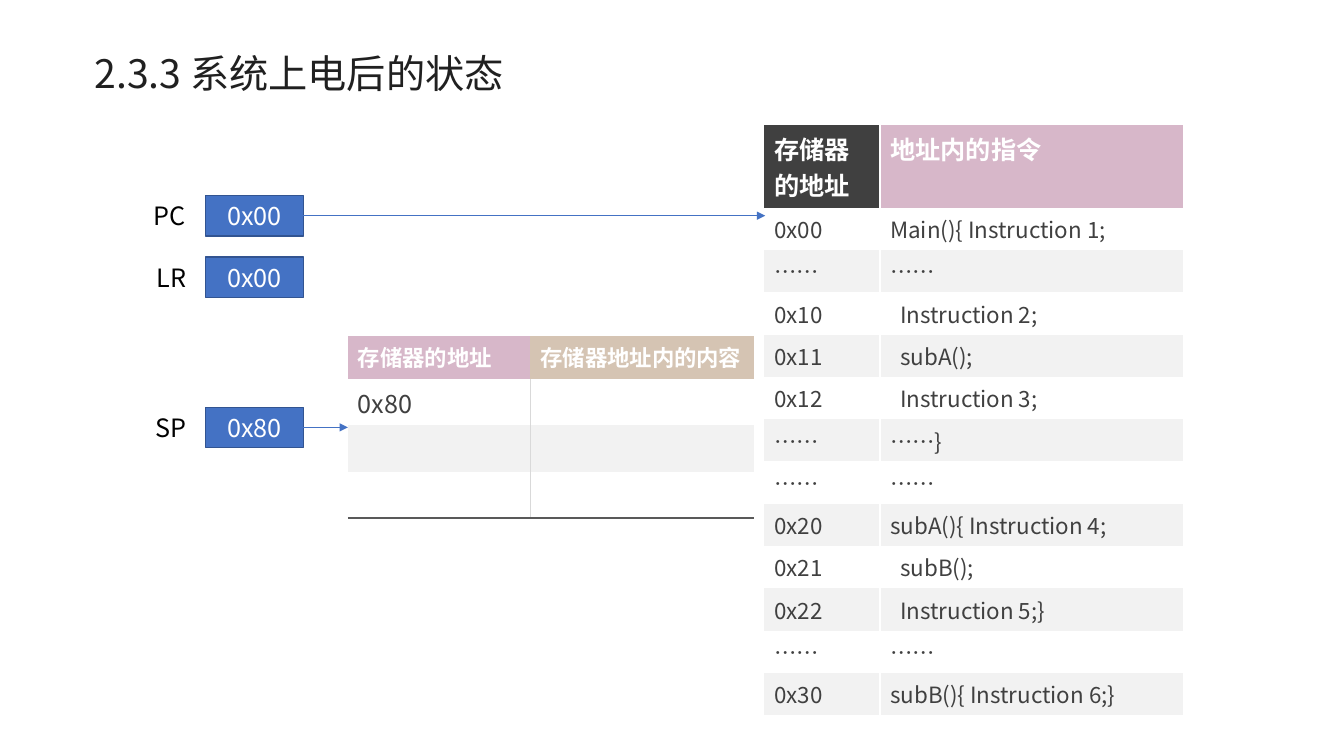
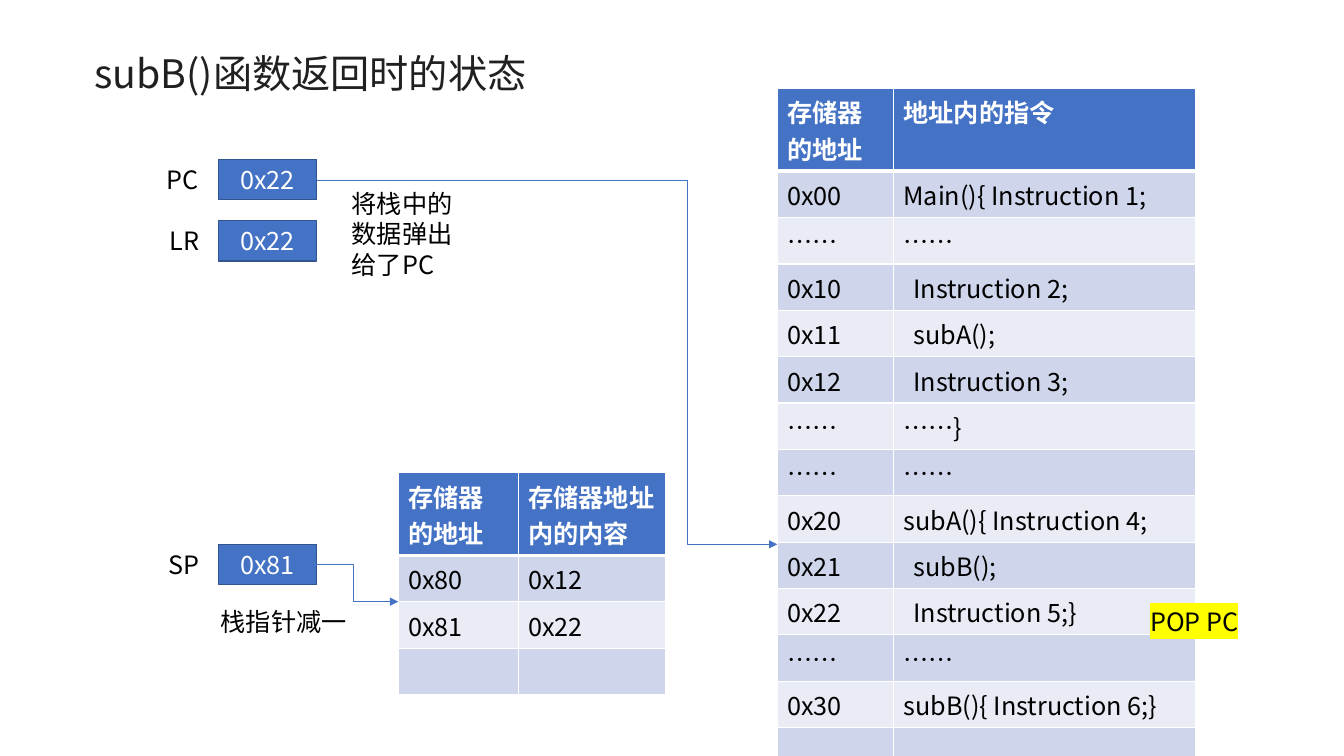
import lxml.etree
import pptx
import pptx.dml.color
import pptx.enum.shapes
import pptx.enum.text
import pptx.oxml.ns
import pptx.util

PX = 9144  # EMU per px, 100 px to the inch
FONT = "Noto Sans CJK SC"
COLORS = {
    "title": "202020", "black": "000000", "white": "FFFFFF", "blue": "4472C4",
    "outline": "325491", "dark": "404040", "pink": "D7B7C9", "sand": "D5C4B3",
    "gray": "F2F2F2", "rule": "D9D9D9", "base": "595959",
    "band": "CFD5EA", "pale": "E9EBF5", "yellow": "FFFF00",
}
ALIGN = pptx.enum.text.PP_ALIGN
ANCHOR = pptx.enum.text.MSO_ANCHOR
LINK = pptx.enum.shapes.MSO_CONNECTOR
RGB = pptx.dml.color.RGBColor.from_string
qn = pptx.oxml.ns.qn
SubElement = lxml.etree.SubElement
NO_STYLE = "{2D5ABB26-0587-4C30-8999-92F81FD0307C}"


def write(frame, text, size=18, color="black", align=ALIGN.LEFT, bold=False):
    """Put one styled paragraph into a text frame and return it."""
    frame.word_wrap = True
    para = frame.paragraphs[0]
    para.text = text
    para.alignment = align
    for span in para.runs:
        span.font.size = pptx.util.Pt(size)
        span.font.bold = bold
        span.font.name = FONT
        span.font.color.rgb = RGB(COLORS[color])
        SubElement(span.font._element, qn("a:ea")).set("typeface", FONT)
    return para


def place_table(page, left, top, widths, heights, rows, look):
    """Add a two-column table with a header row and banded body rows."""
    frame = page.shapes.add_table(len(rows), len(widths), left * PX, top * PX,
                                  sum(widths) * PX, sum(heights) * PX)
    table = frame.table
    table.horz_banding = False
    table._tbl.tblPr.find(qn("a:tableStyleId")).text = NO_STYLE
    for column, width in zip(table.columns, widths):
        column.width = width * PX
    for r, (height, texts) in enumerate(zip(heights, rows)):
        table.rows[r].height = height * PX
        for c, text in enumerate(texts):
            cell = table.cell(r, c)
            # Borders
            edges = {}
            if look["grid"]:
                edges = {side: ("white", 1) for side in "LRTB"}
                if r < 2:
                    edges["TB"[r == 0]] = ("white", 3)
            if look["divider"] and r >= look["divider_from"]:
                edges["L" if c else "R"] = look["divider"]
            if look["bottom"] and r == len(rows) - 1:
                edges["B"] = look["bottom"]
            for side in "LRTB":
                if side in edges:
                    color, weight = edges[side]
                    line = SubElement(cell._tc.get_or_add_tcPr(), qn("a:ln" + side),
                                      w=str(int(pptx.util.Pt(weight))))
                    paint = SubElement(line, qn("a:solidFill"))
                    SubElement(paint, qn("a:srgbClr"), val=COLORS[color])
            # Fill and text
            fill = look["bands"][r % 2] if r else look["heads"][c]
            cell.fill.solid()
            cell.fill.fore_color.rgb = RGB(COLORS[fill])
            size, color = look["body"] if r else (look["head_size"], "white")
            para = write(cell.text_frame, text.lstrip(">"), size, color, bold=r == 0)
            if text.startswith(">"):
                para._p.get_or_add_pPr().set("marL", str(10 * PX))


# Shared table content; ">" marks an indented statement
program = [
    ("存储器的地址", "地址内的指令"),
    ("0x00", "Main(){ Instruction 1;"), ("……", "……"),
    ("0x10", ">Instruction 2;"), ("0x11", ">subA();"), ("0x12", ">Instruction 3;"),
    ("……", "……}"), ("……", "……"),
    ("0x20", "subA(){ Instruction 4;"), ("0x21", ">subB();"), ("0x22", ">Instruction 5;}"),
    ("……", "……"), ("0x30", "subB(){ Instruction 6;}"), ("", ""),
]
stack_head = ("存储器的地址", "存储器地址内的内容")

# Table looks
blue_look = {
    "heads": ("blue", "blue"), "bands": ("pale", "band"), "head_size": 18,
    "body": (18, "black"), "grid": True, "divider": None, "bottom": None,
}
program_look = {
    "heads": ("dark", "pink"), "bands": ("gray", "white"), "head_size": 18,
    "body": (16, "dark"), "grid": False, "divider": ("white", 1.5),
    "divider_from": 0, "bottom": ("pink", 1.5),
}
stack_look = {
    "heads": ("pink", "sand"), "bands": ("gray", "white"), "head_size": 16,
    "body": (18, "dark"), "grid": False, "divider": ("rule", 1),
    "divider_from": 1, "bottom": ("base", 1.5),
}

# Slide contents
slides = [
    {
        "title": "2.3.3 系统上电后的状态",
        "box_left": 204,
        "registers": [("PC", 141, 194, "0x00"), ("LR", 143, 255, "0x00"),
                      ("SP", 143, 404, "0x80")],
        "tables": [
            (758, 124, (115, 300), [82] + [42] * 13, program, program_look),
            (345, 333, (181, 222), [43] + [46] * 3,
             [stack_head, ("0x80", ""), ("", ""), ("", "")], stack_look),
        ],
        "straight": [("PC", 759), ("SP", 345)],
        "bent": [],
        "notes": [],
    },
    {
        "title": "subB()函数返回时的状态",
        "box_left": 217,
        "registers": [("PC", 154, 158, "0x22"), ("LR", 156, 219, "0x22"),
                      ("SP", 156, 540, "0x81")],
        "tables": [
            (771, 88, (115, 300), [82] + [46] * 13, program, blue_look),
            (395, 469, (119, 146), [82] + [46] * 3,
             [stack_head, ("0x80", "0x12"), ("0x81", "0x22"), ("", "")], blue_look),
        ],
        "straight": [],
        "bent": [(314, 179, 771, 540, 80500), (306, 560, 395, 597, 50000)],
        "notes": [("POP PC", 1131, 597, 131, 40, "yellow"),
                  ("将栈中的数据弹出给了PC", 339, 182, 141, 101, None),
                  ("栈指针减一", 209, 597, 147, 40, None)],
    },
]

deck = pptx.Presentation()
deck.slide_width = pptx.util.Inches(13.33)
deck.slide_height = pptx.util.Inches(7.5)

for content in slides:
    page = deck.slides.add_slide(deck.slide_layouts[6])

    # Title
    title = page.shapes.add_textbox(84 * PX, 38 * PX, 651 * PX, 75 * PX)
    title.text_frame.vertical_anchor = ANCHOR.MIDDLE
    para = write(title.text_frame, content["title"], 28, "title")
    para.line_spacing = 0.9
    para.space_before = pptx.util.Pt(10)

    # Tables
    for spot in content["tables"]:
        place_table(page, *spot)

    # Registers: label and value box
    boxes = {}
    for name, left, top, value in content["registers"]:
        label = page.shapes.add_textbox(left * PX, top * PX, 54 * PX, 40 * PX)
        write(label.text_frame, name, align=ALIGN.CENTER)
        box = page.shapes.add_shape(pptx.enum.shapes.MSO_SHAPE.RECTANGLE,
                                    content["box_left"] * PX, top * PX, 97 * PX, 40 * PX)
        box.shadow.inherit = False
        box.fill.solid()
        box.fill.fore_color.rgb = RGB(COLORS["blue"])
        box.line.color.rgb = RGB(COLORS["outline"])
        box.line.width = pptx.util.Pt(1)
        box.text_frame.vertical_anchor = ANCHOR.MIDDLE
        write(box.text_frame, value, color="white", align=ALIGN.CENTER)
        boxes[name] = box

    # Arrows
    arrows = []
    for name, end in content["straight"]:
        box = boxes[name]
        middle = box.top + box.height // 2
        arrow = page.shapes.add_connector(LINK.STRAIGHT, box.left + box.width, middle,
                                          end * PX, middle)
        arrow.begin_connect(box, 3)
        arrows.append(arrow)
    for *ends, bend in content["bent"]:
        arrow = page.shapes.add_connector(LINK.ELBOW, *[end * PX for end in ends])
        geometry = arrow._element.spPr.find(qn("a:prstGeom"))
        guides = geometry.find(qn("a:avLst"))
        if guides is None:
            guides = SubElement(geometry, qn("a:avLst"))
        SubElement(guides, qn("a:gd"), name="adj1", fmla=f"val {bend}")
        arrows.append(arrow)
    for arrow in arrows:
        arrow.line.color.rgb = RGB(COLORS["blue"])
        arrow.line.width = pptx.util.Pt(0.5)
        SubElement(arrow.line._get_or_add_ln(), qn("a:tailEnd"), type="triangle")
        SubElement(arrow._element.spPr, qn("a:effectLst"))

    # Notes
    for text, left, top, width, height, marker in content["notes"]:
        note = page.shapes.add_textbox(left * PX, top * PX, width * PX, height * PX)
        para = write(note.text_frame, text)
        if marker:
            ink = para.runs[0].font._element.find(qn("a:solidFill"))
            highlight = lxml.etree.Element(qn("a:highlight"))
            SubElement(highlight, qn("a:srgbClr"), val=COLORS[marker])
            ink.addnext(highlight)

deck.save("out.pptx")
